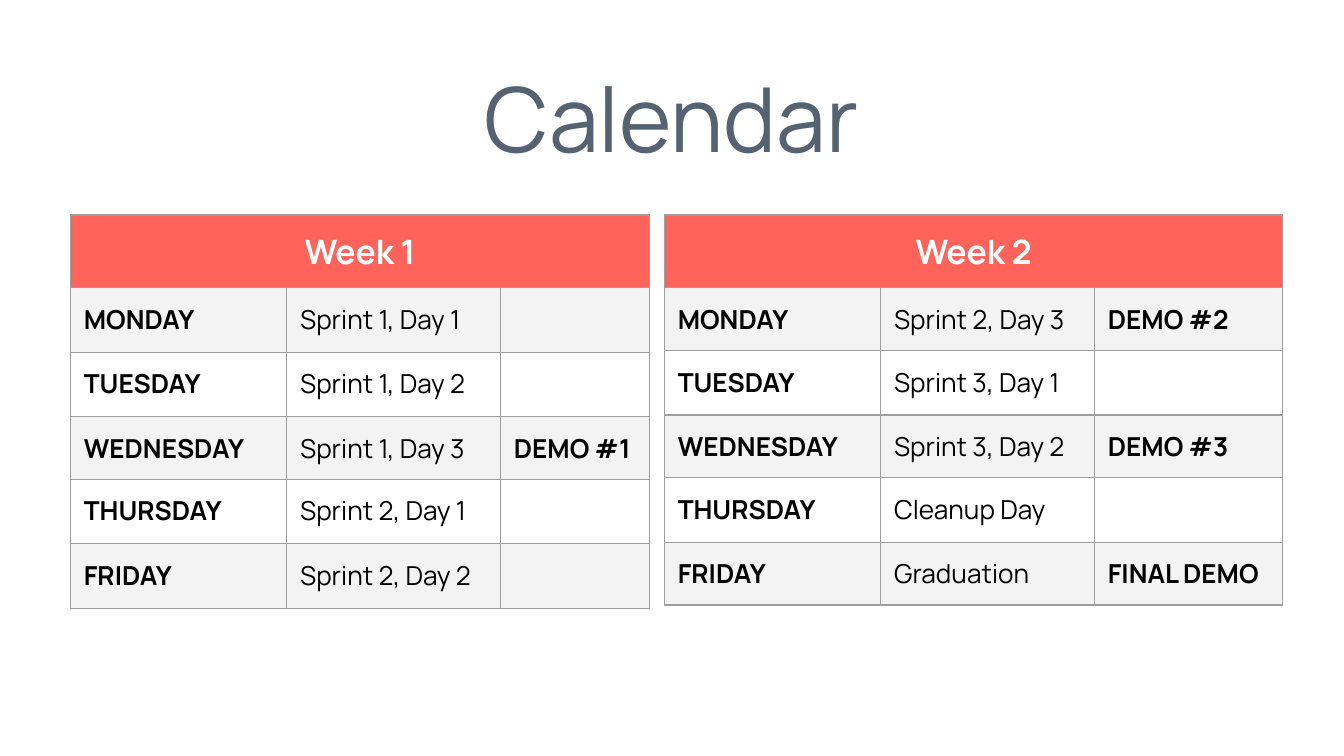
"""Build a two-week sprint calendar slide."""
from dataclasses import dataclass

from lxml import etree
from pptx import Presentation
from pptx.dml.color import RGBColor
from pptx.enum import text
from pptx.oxml import ns
from pptx.slide import Slide
from pptx.table import _Cell
from pptx.util import Pt

FONT = "Manrope"
SLATE = RGBColor(0x55, 0x62, 0x71)
CORAL = RGBColor(0xFF, 0x63, 0x59)
BAND = RGBColor(0xF3, 0xF3, 0xF3)
GRID = RGBColor(0x9E, 0x9E, 0x9E)
BLACK = RGBColor(0, 0, 0)
WHITE = RGBColor(0xFF, 0xFF, 0xFF)

DAYS = ("MONDAY", "TUESDAY", "WEDNESDAY", "THURSDAY", "FRIDAY")
TABLE_TOP = 115.2
DAY_WIDTH, PLAN_WIDTH = 115.9, 114.5
HEADER_HEIGHT, DEMO_HEIGHT, PLAIN_HEIGHT = 38.8, 33.6, 34.5


@dataclass(frozen=True)
class Week:
    name: str
    left: float
    demo_width: float
    plans: tuple[str, ...]
    demos: tuple[str, ...]


WEEKS = (
    Week("Week 1", 37.7, 79.9,
         ("Sprint 1, Day 1", "Sprint 1, Day 2", "Sprint 1, Day 3",
          "Sprint 2, Day 1", "Sprint 2, Day 2"),
         ("", "", "DEMO #1", "", "")),
    Week("Week 2", 355.9, 101,
         ("Sprint 2, Day 3", "Sprint 3, Day 1", "Sprint 3, Day 2",
          "Cleanup Day", "Graduation"),
         ("DEMO #2", "", "DEMO #3", "", "FINAL DEMO")),
)


def add_borders(cell: _Cell) -> None:
    props = cell._tc.get_or_add_tcPr()
    for side in ("lnL", "lnR", "lnT", "lnB"):
        line = etree.SubElement(props, ns.qn(f"a:{side}"), w=str(Pt(0.75)))
        fill = etree.SubElement(line, ns.qn("a:solidFill"))
        etree.SubElement(fill, ns.qn("a:srgbClr"), val=str(GRID))


def style_cell(cell: _Cell, fill: RGBColor | None) -> None:
    add_borders(cell)
    if fill is None:
        cell.fill.background()
    else:
        cell.fill.solid()
        cell.fill.fore_color.rgb = fill


def write_cell(cell: _Cell, words: str, size: float, color: RGBColor,
               bold: bool, align: text.PP_ALIGN) -> None:
    inset = Pt(7.2) if words else 0
    cell.margin_left = cell.margin_right = Pt(7.2)
    cell.margin_top = cell.margin_bottom = inset
    if not words:
        return
    p = cell.text_frame.paragraphs[0]
    p.text = words
    p.alignment = align
    p.font.name, p.font.size, p.font.bold = FONT, Pt(size), bold
    p.font.color.rgb = color


def add_week(s: Slide, week: Week) -> None:
    widths = (DAY_WIDTH, PLAN_WIDTH, week.demo_width)
    heights = [HEADER_HEIGHT] + [DEMO_HEIGHT if demo else PLAIN_HEIGHT
                                 for demo in week.demos]
    table = s.shapes.add_table(len(heights), len(widths), Pt(week.left), Pt(TABLE_TOP),
                               Pt(sum(widths)), Pt(sum(heights))).table
    table.first_row = table.horz_banding = False
    for column, width in zip(table.columns, widths):
        column.width = Pt(width)
    for row, height in zip(table.rows, heights):
        row.height = Pt(height)
    for cell in table.rows[0].cells:
        style_cell(cell, CORAL)
    header = table.cell(0, 0)
    header.merge(table.cell(0, 2))
    write_cell(header, week.name, 18, WHITE, True, text.PP_ALIGN.CENTER)
    for i, entry in enumerate(zip(DAYS, week.plans, week.demos), start=1):
        for j, words in enumerate(entry):
            cell = table.cell(i, j)
            style_cell(cell, BAND if i % 2 else None)
            write_cell(cell, words, 14, BLACK, j != 1, text.PP_ALIGN.LEFT)


def add_title(s: Slide, words: str) -> None:
    sp = s.shapes.title
    sp.left, sp.top, sp.width, sp.height = Pt(152.6), Pt(30.2), Pt(414.7), Pt(64.8)
    tf = sp.text_frame
    tf.auto_size = text.MSO_AUTO_SIZE.NONE
    tf.vertical_anchor = text.MSO_ANCHOR.TOP
    tf.margin_top, tf.margin_bottom = Pt(3.3), 0
    p = tf.paragraphs[0]
    p.text = words
    p.alignment = text.PP_ALIGN.CENTER
    p.font.name, p.font.size = FONT, Pt(48)
    p.font.color.rgb = SLATE


def main() -> None:
    prs = Presentation()
    prs.slide_width, prs.slide_height = Pt(720), Pt(405)
    s = prs.slides.add_slide(prs.slide_layouts[5])
    add_title(s, "Calendar")
    for week in WEEKS:
        add_week(s, week)
    prs.save("out.pptx")


if __name__ == "__main__":
    main()
